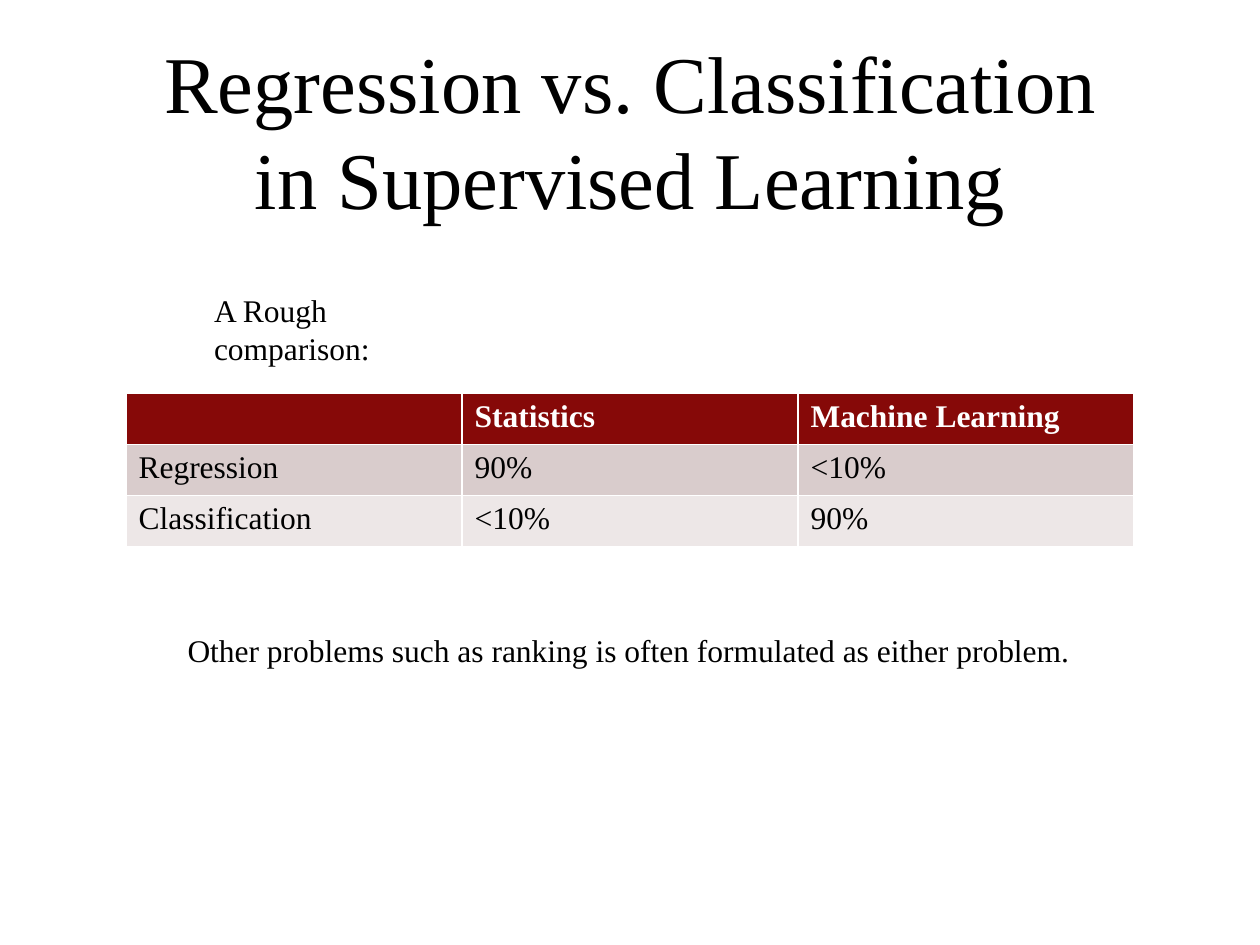
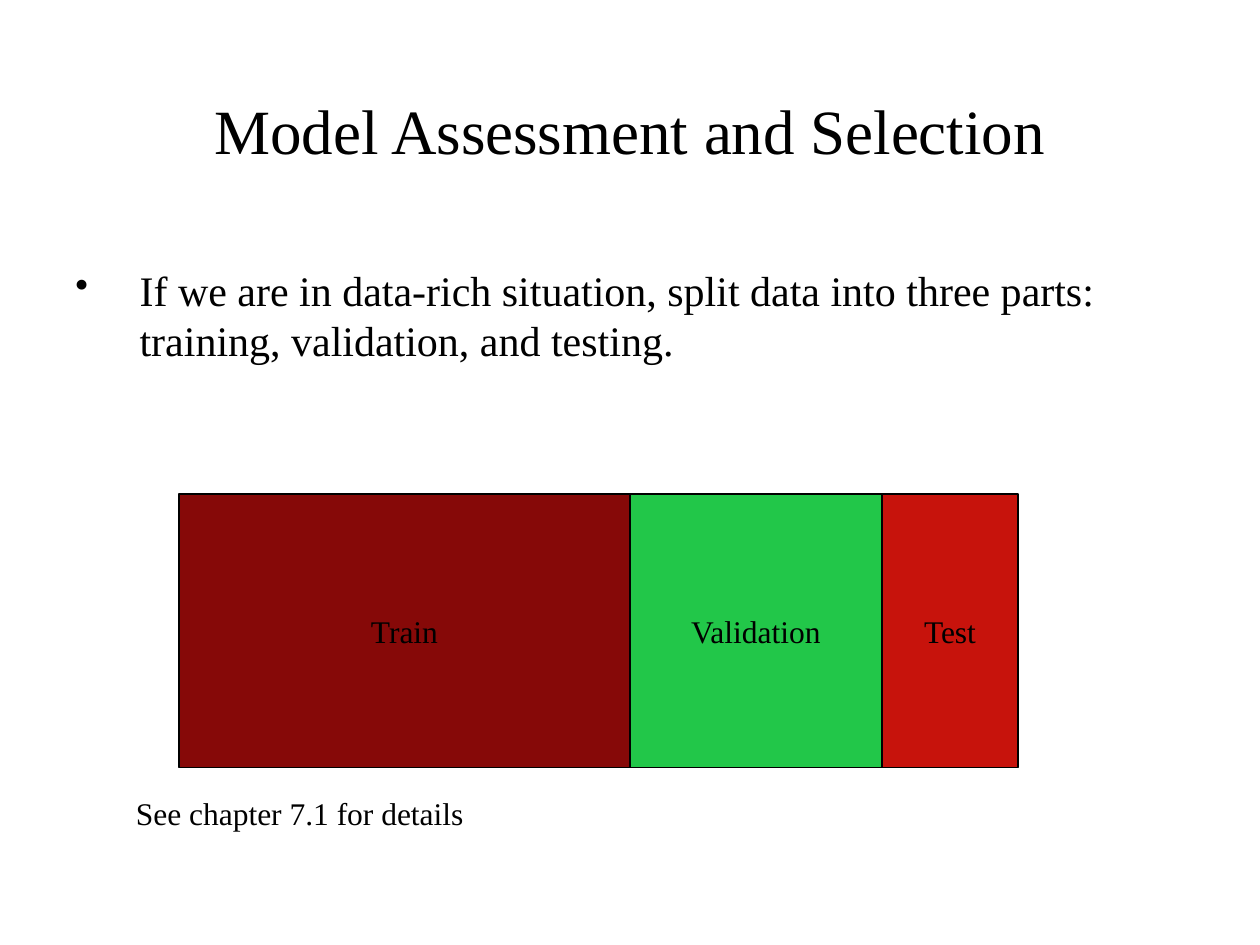
from dataclasses import dataclass
from itertools import accumulate

from lxml.etree import SubElement
from pptx import Presentation
from pptx.dml.color import RGBColor
from pptx.enum.shapes import MSO_SHAPE
from pptx.enum.text import MSO_ANCHOR, MSO_AUTO_SIZE, PP_ALIGN
from pptx.oxml.ns import qn
from pptx.presentation import Presentation as Deck
from pptx.slide import Slide
from pptx.text.text import _Paragraph as Para
from pptx.util import Inches, Pt

FONT = "Times New Roman"
BLACK = RGBColor(0x00, 0x00, 0x00)
WHITE = RGBColor(0xFF, 0xFF, 0xFF)
MAROON = RGBColor(0x86, 0x09, 0x08)
GREEN = RGBColor(0x22, 0xC7, 0x49)
RED = RGBColor(0xC7, 0x13, 0x0C)
ROSE = RGBColor(0xD9, 0xCC, 0xCC)
PALE = RGBColor(0xED, 0xE7, 0xE7)


@dataclass
class Note:
    text: str
    left: float
    top: float
    width: float
    height: float = 0.4
    size: int = 18
    inset: float = 0.1


@dataclass
class Part:
    name: str
    width: float
    fill: RGBColor


@dataclass
class Row:
    cells: tuple[str, str, str]
    fill: RGBColor
    ink: RGBColor = BLACK
    bold: bool = False


ROWS = [
    Row(("", "Statistics", "Machine Learning"), MAROON, WHITE, True),
    Row(("Regression", "90%", "<10%"), ROSE),
    Row(("Classification", "<10%", "90%"), PALE),
]
PARTS = [
    Part("Train", 3.58, MAROON),
    Part("Validation", 2, GREEN),
    Part("Test", 1.08, RED),
]


def style(para: Para, size: int, ink: RGBColor = BLACK, bold: bool = False) -> None:
    font = para.font
    font.name, font.size, font.bold = FONT, Pt(size), bold
    font.color.rgb = ink


def add_slide(deck: Deck, text: str, size: int) -> Slide:
    slide = deck.slides.add_slide(deck.slide_layouts[5])
    title = slide.shapes.title
    title.left, title.top = Inches(1), Inches(0.55)
    title.width, title.height = Inches(8), Inches(0.95)
    frame = title.text_frame
    frame.text = text
    frame.auto_size = MSO_AUTO_SIZE.NONE
    frame.vertical_anchor = MSO_ANCHOR.MIDDLE
    para = frame.paragraphs[0]
    para.alignment = PP_ALIGN.CENTER
    style(para, size)
    return slide


def add_note(slide: Slide, note: Note) -> Para:
    box = slide.shapes.add_textbox(
        Inches(note.left), Inches(note.top), Inches(note.width), Inches(note.height)
    )
    frame = box.text_frame
    frame.word_wrap = True
    frame.margin_right = Inches(note.inset)
    frame.text = note.text
    para = frame.paragraphs[0]
    style(para, note.size)
    return para


def add_bullet(para: Para, indent: float) -> None:
    props = para._p.get_or_add_pPr()
    props.set("marL", str(Inches(indent)))
    props.set("indent", str(-Inches(indent)))
    SubElement(props, qn("a:buSzPct")).set("val", "90000")
    SubElement(props, qn("a:buChar")).set("char", "•")


def add_grid(slide: Slide, rows: list[Row]) -> None:
    grid = slide.shapes.add_table(
        len(rows), 3, Inches(1), Inches(3.12), Inches(8), Inches(1.22)
    ).table
    for line, row in zip(grid.rows, rows):
        for cell, text in zip(line.cells, row.cells):
            cell.text = text
            cell.fill.solid()
            cell.fill.fore_color.rgb = row.fill
            style(cell.text_frame.paragraphs[0], 18, row.ink, row.bold)


def add_split(slide: Slide, parts: list[Part]) -> None:
    lefts = accumulate((part.width for part in parts), initial=1.42)
    for left, part in zip(lefts, parts):
        box = slide.shapes.add_shape(
            MSO_SHAPE.RECTANGLE,
            Inches(left), Inches(3.92), Inches(part.width), Inches(2.17),
        )
        box.shadow.inherit = False
        box.fill.solid()
        box.fill.fore_color.rgb = part.fill
        box.line.color.rgb = BLACK
        box.line.width = Pt(0.75)
        frame = box.text_frame
        frame.text = part.name
        frame.vertical_anchor = MSO_ANCHOR.MIDDLE
        para = frame.paragraphs[0]
        para.alignment = PP_ALIGN.CENTER
        style(para, 18)


def draw_tasks(deck: Deck) -> None:
    slide = add_slide(deck, "Regression vs. Classification in Supervised Learning", 46)
    add_grid(slide, ROWS)
    add_note(slide, Note("A Rough comparison:", 1.6, 2.26, 2.39, 0.7, inset=0.5))
    add_note(slide, Note(
        "Other problems such as ranking is often formulated as either problem.",
        1.39, 4.96, 7.4,
    ))


def draw_model(deck: Deck) -> None:
    slide = add_slide(deck, "Model Assessment and Selection", 36)
    para = add_note(slide, Note(
        "If we are in data-rich situation, split data into three parts: "
        "training, validation, and testing.",
        0.5, 2.05, 9, 1.7, 24,
    ))
    add_bullet(para, 0.51)
    add_split(slide, PARTS)
    add_note(slide, Note("See chapter 7.1 for details", 0.98, 6.25, 4.18, 0.5))


def main() -> None:
    deck = Presentation()
    deck.slide_width, deck.slide_height = Inches(10), Inches(7.5)
    draw_tasks(deck)
    draw_model(deck)
    deck.save("out.pptx")


if __name__ == "__main__":
    main()
